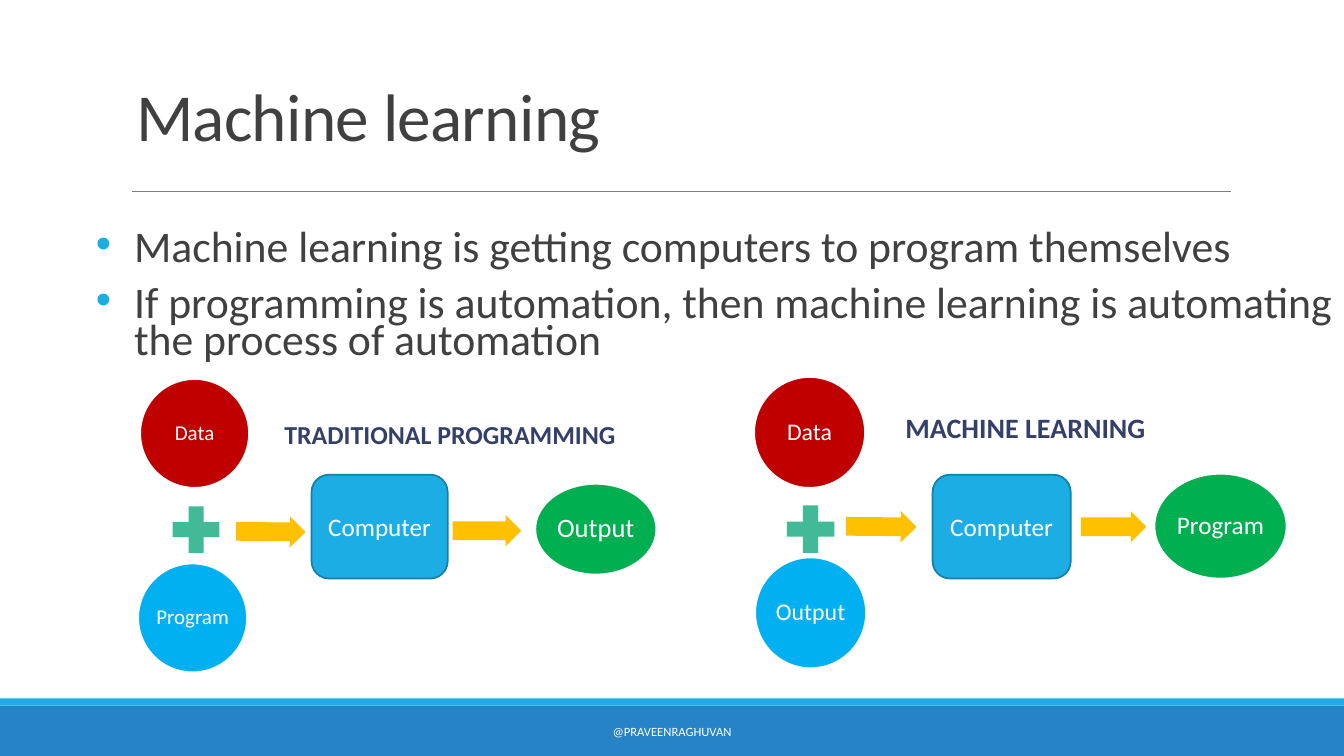
from lxml.etree import SubElement
from pptx import Presentation
from pptx.dml.color import RGBColor
from pptx.enum.shapes import MSO_CONNECTOR, MSO_SHAPE
from pptx.enum.text import MSO_ANCHOR, MSO_AUTO_SIZE, PP_ALIGN
from pptx.oxml.ns import qn
from pptx.util import Pt

PX = 9144  # 100 px to the inch
FONT = "Calibri"
COLOR = {
    "white": "FFFFFF", "text": "404040", "head": "344068", "rule": "808080",
    "bar": "2683C6", "blue": "1CADE4", "edge": "1580A9", "red": "C00000",
    "sky": "00B0F0", "green": "00B050", "plus": "42BA97", "arrow": "FFC000",
}


def rgb(name):
    return RGBColor.from_string(COLOR[name])


def emu(box):
    return [n * PX for n in box]


def place(shape, box):
    shape.left, shape.top, shape.width, shape.height = emu(box)


def bullet(para, hang):
    """Give the paragraph a blue dot with a hanging indent in px."""
    props = para._p.get_or_add_pPr()
    props.set("marL", str(hang * PX))
    props.set("indent", str(-hang * PX))
    tint = SubElement(props, qn("a:buClr"))
    SubElement(tint, qn("a:srgbClr")).set("val", COLOR["blue"])
    SubElement(props, qn("a:buFont")).set("typeface", "Arial")
    SubElement(props, qn("a:buChar")).set("char", "•")


def write(shape, *lines, size, color="white", bold=False, align=PP_ALIGN.CENTER,
          anchor=MSO_ANCHOR.MIDDLE, lead=1.0, before=0, after=0, hang=0,
          inset=(10, 5), track=0):
    frame = shape.text_frame
    frame.word_wrap = True
    frame.auto_size = MSO_AUTO_SIZE.NONE
    frame.vertical_anchor = anchor
    frame.margin_left = frame.margin_right = inset[0] * PX
    frame.margin_top = frame.margin_bottom = inset[1] * PX
    for i, line in enumerate(lines):
        para = frame.add_paragraph() if i else frame.paragraphs[0]
        if hang:
            bullet(para, hang)
        para.alignment = align
        para.line_spacing = lead
        para.space_before = Pt(before if i else 0)
        para.space_after = Pt(after)
        run = para.add_run()
        run.text = line
        run.font.name = FONT
        run.font.size = Pt(size)
        run.font.bold = bold
        run.font.color.rgb = rgb(color)
        if track:
            run.font._element.set("spc", str(track))


def draw(slide, kind, box, fill, edge=None):
    shape = slide.shapes.add_shape(kind, *emu(box))
    shape.shadow.inherit = False
    shape.fill.solid()
    shape.fill.fore_color.rgb = rgb(fill)
    if edge:
        shape.line.color.rgb = rgb(edge)
        shape.line.width = Pt(1.25)
    else:
        shape.line.fill.background()
    return shape


def oval(slide, box, fill, text, size):
    shape = draw(slide, MSO_SHAPE.OVAL, box, fill, "white")
    write(shape, text, size=size, lead=0.9, inset=(0, 0))


def arrow(slide, box, turn=0):
    shape = draw(slide, MSO_SHAPE.RIGHT_ARROW, box, "arrow")
    shape.adjustments[0] = 0.6
    shape.rotation = turn


def flow(slide, data, plus, extra, size, enter, core, leave, end):
    """Draw data plus a second input, through the computer, to a result."""
    oval(slide, data, "red", "Data", size)
    draw(slide, MSO_SHAPE.MATH_PLUS, plus, "plus")
    oval(slide, extra[0], "sky", extra[1], size)
    arrow(slide, enter, 0.5)
    box = draw(slide, MSO_SHAPE.ROUNDED_RECTANGLE, core, "blue", "edge")
    write(box, "Computer", size=18)
    arrow(slide, leave)
    oval(slide, end[0], "green", *end[1:])


def rule(slide, left, right, y):
    line = slide.shapes.add_connector(
        MSO_CONNECTOR.STRAIGHT, *emu((left, y, right, y)))
    line.line.color.rgb = rgb("rule")
    line.line.width = Pt(0.5)
    SubElement(line._element.spPr, qn("a:effectLst"))


def main():
    deck = Presentation()
    deck.slide_width, deck.slide_height = emu((1333, 750))
    slide = deck.slides.add_slide(deck.slide_layouts.get_by_name("Comparison"))
    title, left, body, right, spare = slide.placeholders
    spare._element.getparent().remove(spare._element)

    draw(slide, MSO_SHAPE.RECTANGLE, (0, 700, 1333, 50), "bar")
    draw(slide, MSO_SHAPE.RECTANGLE, (0, 693, 1333, 7), "blue")
    rule(slide, 131, 1221, 190)

    place(title, (125, 68, 1083, 91))
    write(title, "Machine learning", size=48, color="text", lead=0.85,
          align=PP_ALIGN.LEFT, anchor=MSO_ANCHOR.BOTTOM, track=-50)
    place(body, (95, 226, 1233, 160))
    write(body, "Machine learning is getting computers to program themselves",
          "If programming is automation, then machine learning is automating "
          "the process of automation",
          size=31.2, color="text", lead=0.7, before=12, after=2, hang=38,
          align=PP_ALIGN.LEFT, anchor=MSO_ANCHOR.TOP, inset=(0, 5))

    heads = [(left, (272, 403, 368, 60), "TRADITIONAL PROGRAMMING", 18.5),
             (right, (888, 396, 263, 60), "MACHINE LEARNING", 20)]
    for head, box, text, size in heads:
        place(head, box)
        write(head, text, size=size, color="head", bold=True, lead=0.9,
              after=2, align=PP_ALIGN.LEFT)

    flow(slide, data=(139, 376, 108, 108), plus=(163, 494, 63, 63),
         extra=((137, 559, 108, 108), "Program"), size=15,
         enter=(234, 512, 69, 31), core=(309, 471, 135, 103),
         leave=(449, 511, 68, 31), end=((531, 480, 120, 90), "Output", 19))
    flow(slide, data=(748, 374, 110, 110), plus=(772, 493, 64, 64),
         extra=((749, 553, 110, 110), "Output"), size=17,
         enter=(839, 507, 70, 31), core=(925, 471, 137, 103),
         leave=(1072, 507, 65, 31), end=((1145, 470, 131, 104), "Program", 18))

    foot = slide.shapes.add_textbox(*emu((403, 706, 527, 40)))
    write(foot, "@PRAVEENRAGHUVAN", size=9)
    deck.save("out.pptx")


if __name__ == "__main__":
    main()
